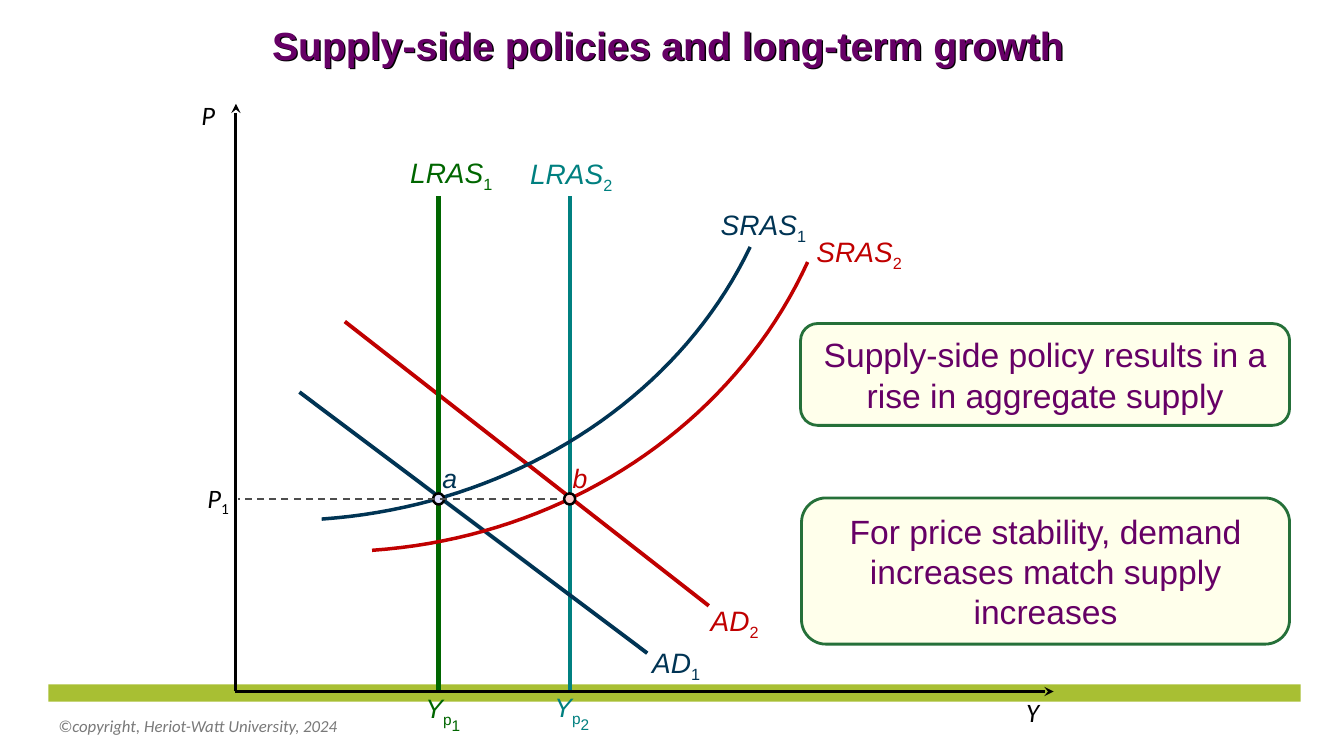
from lxml import etree
from pptx import Presentation
from pptx.dml.color import RGBColor
from pptx.enum.dml import MSO_LINE
from pptx.enum.shapes import MSO_CONNECTOR, MSO_SHAPE
from pptx.enum.text import MSO_ANCHOR, PP_ALIGN
from pptx.oxml.ns import qn
from pptx.util import Inches, Pt

COLORS = {
    "band": "A8BF33", "footer": "797979", "black": "000000", "purple": "660066",
    "navy": "003454", "red": "C00000", "green": "006600", "teal": "008080",
    "dash": "4D4D4D", "dot_a": "DCDCFF", "dot_b": "FFCCCC",
    "cream": "FFFFEB", "frame": "257039",
}
AXIS_Y = 6.86
PRICE_Y = 4.95
OUTPUT_1, OUTPUT_2 = 4.35, 5.65
CURVE_STEPS = 40


def rgb(name):
    return RGBColor.from_string(COLORS[name])


def style_span(span, size, color, font="Arial", italic=False, bold=False):
    span.font.size = Pt(size)
    span.font.color.rgb = rgb(color)
    span.font.name = font
    span.font.italic = italic
    span.font.bold = bold


def add_label(page, left, top, width, color, text, *subscripts, size=20,
              font="Arial", align=PP_ALIGN.LEFT, wrap=True):
    """Italic label followed by upright (text, baseline percent) subscripts."""
    box = page.shapes.add_textbox(Inches(left), Inches(top), Inches(width), Inches(0.43))
    box.text_frame.word_wrap = wrap
    para = box.text_frame.paragraphs[0]
    para.alignment = align
    for part, baseline in ((text, 0), *subscripts):
        span = para.add_run()
        span.text = part
        style_span(span, size, color, font, italic=not baseline)
        if baseline:
            span.font._element.set("baseline", str(baseline * 1000))
    return box


def add_line(page, start, end, color, width, dashed=False, arrow=False):
    line = page.shapes.add_connector(
        MSO_CONNECTOR.STRAIGHT, *(Inches(value) for value in (*start, *end)))
    line.line.color.rgb = rgb(color)
    line.line.width = Pt(width)
    if dashed:
        line.line.dash_style = MSO_LINE.DASH
    if arrow:
        etree.SubElement(line.line._get_or_add_ln(), qn("a:tailEnd"), type="stealth")
    etree.SubElement(line._element.spPr, qn("a:effectLst"))


def add_curve(page, color, *controls):
    """Cubic curve through four control points, drawn as short segments."""
    points = []
    for step in range(CURVE_STEPS + 1):
        t = step / CURVE_STEPS
        weights = ((1 - t) ** 3, 3 * t * (1 - t) ** 2, 3 * t ** 2 * (1 - t), t ** 3)
        points.append(tuple(
            Inches(sum(weight * point[axis] for weight, point in zip(weights, controls)))
            for axis in (0, 1)))
    builder = page.shapes.build_freeform(*points[0])
    builder.add_line_segments(points[1:], close=False)
    curve = builder.convert_to_shape()
    curve.shadow.inherit = False
    curve.fill.background()
    curve.line.color.rgb = rgb(color)
    curve.line.width = Pt(2.5)


def add_filled(page, kind, left, top, width, height, fill, line=None, line_width=0):
    shape = page.shapes.add_shape(
        kind, Inches(left), Inches(top), Inches(width), Inches(height))
    shape.shadow.inherit = False
    shape.fill.solid()
    shape.fill.fore_color.rgb = rgb(fill)
    if line:
        shape.line.color.rgb = rgb(line)
        shape.line.width = Pt(line_width)
    else:
        shape.line.fill.background()
    return shape


def add_dot(page, x, fill):
    size = 0.11
    add_filled(page, MSO_SHAPE.OVAL, x - size / 2, PRICE_Y - size / 2, size, size,
               fill, "black", 1.75)


def set_centred_text(box, text, size, bold=False):
    frame = box.text_frame
    frame.text = text
    frame.word_wrap = True
    frame.vertical_anchor = MSO_ANCHOR.MIDDLE
    frame.paragraphs[0].alignment = PP_ALIGN.CENTER
    style_span(frame.paragraphs[0].runs[0], size, "purple", bold=bold)


def add_callout(page, left, top, width, height, text):
    box = add_filled(page, MSO_SHAPE.ROUNDED_RECTANGLE, left, top, width, height,
                     "cream", "frame", 2)
    set_centred_text(box, text, 24)


def add_title(page, text):
    """Title whose letters cast a thin dark shadow."""
    box = page.shapes.add_textbox(0, Inches(0.2), Inches(13.25), Inches(0.49))
    set_centred_text(box, text, 28, bold=True)
    effects = etree.SubElement(box._element.spPr, qn("a:effectLst"))
    shadow = etree.SubElement(effects, qn("a:outerShdw"), dist="17961", dir="2700000")
    etree.SubElement(shadow, qn("a:srgbClr"), val=COLORS["black"])


def add_footer(page):
    add_filled(page, MSO_SHAPE.RECTANGLE, 0.48, 6.79, 12.42, 0.17, "band")
    note = add_label(page, 0.48, 7, 4.5, "footer",
                     "©copyright, Heriot-Watt University, 2024", size=12, font="Calibri")
    note.height = Inches(0.4)
    note.text_frame.vertical_anchor = MSO_ANCHOR.MIDDLE


def add_curves(page):
    add_line(page, (3.42, 3.19), (7.03, 6.01), "red", 2.75)
    add_line(page, (OUTPUT_2, AXIS_Y), (OUTPUT_2, 1.94), "teal", 3)
    add_curve(page, "navy", (3.19, 5.15), (5.06, 5.02), (6.71, 3.98), (7.44, 2.45))
    add_line(page, (OUTPUT_1, AXIS_Y), (OUTPUT_1, 1.94), "green", 3)
    add_line(page, (2.97, 3.89), (6.42, 6.48), "navy", 2.75)
    add_curve(page, "red", (3.69, 5.46), (5.6, 5.33), (7.27, 4.22), (8.01, 2.6))


def add_curve_labels(page):
    for left, top, width, color, name, number in (
            (3.97, 1.49, 1.13, "green", "LRAS", "1"),
            (5.16, 1.5, 1.13, "teal", "LRAS", "2"),
            (7.05, 2.01, 1.25, "navy", "SRAS", "1"),
            (8, 2.28, 1.13, "red", "SRAS", "2"),
            (6.37, 6.35, 0.7, "navy", "AD", "1"),
            (6.95, 5.94, 0.7, "red", "AD", "2")):
        add_label(page, left, top, width, color, name, (number, -25), wrap=name != "AD")
    for left, top, color, number in ((4.12, 6.82, "green", "1"), (5.4, 6.81, "teal", "2")):
        add_label(page, left, top, 0.68, color, "Y", ("p", -25), (number, -46), size=19)


def add_equilibria(page):
    add_dot(page, OUTPUT_1, "dot_a")
    add_line(page, (OUTPUT_2, PRICE_Y), (2.36, PRICE_Y), "dash", 1.25, dashed=True)
    add_dot(page, OUTPUT_2, "dot_b")
    add_label(page, 4.29, 4.53, 0.35, "navy", "a", size=19, wrap=False)
    add_label(page, 5.58, 4.53, 0.49, "red", "b", size=19)
    add_label(page, 1.73, 4.73, 0.64, "black", "P", ("1", -25), size=19,
              font="Calibri", align=PP_ALIGN.RIGHT)


def add_axes(page):
    add_line(page, (2.34, AXIS_Y), (2.34, 1.03), "black", 2.25, arrow=True)
    add_line(page, (2.33, AXIS_Y), (10.45, AXIS_Y), "black", 2.25, arrow=True)
    add_label(page, 1.9, 0.93, 0.47, "black", "P", size=19, font="Calibri")
    add_label(page, 10.08, AXIS_Y, 0.47, "black", "Y", size=19, font="Calibri")


def main():
    deck = Presentation()
    deck.slide_width, deck.slide_height = Inches(13.33), Inches(7.5)
    page = deck.slides.add_slide(deck.slide_layouts[6])
    add_footer(page)
    add_curves(page)
    add_curve_labels(page)
    add_equilibria(page)
    add_axes(page)
    add_title(page, "Supply-side policies and long-term growth")
    add_callout(page, 7.94, 3.21, 4.85, 1.01,
                "Supply-side policy results in a rise in aggregate supply")
    add_callout(page, 7.95, 4.94, 4.84, 1.45,
                "For price stability, demand increases match supply increases")
    deck.save("out.pptx")


if __name__ == "__main__":
    main()
